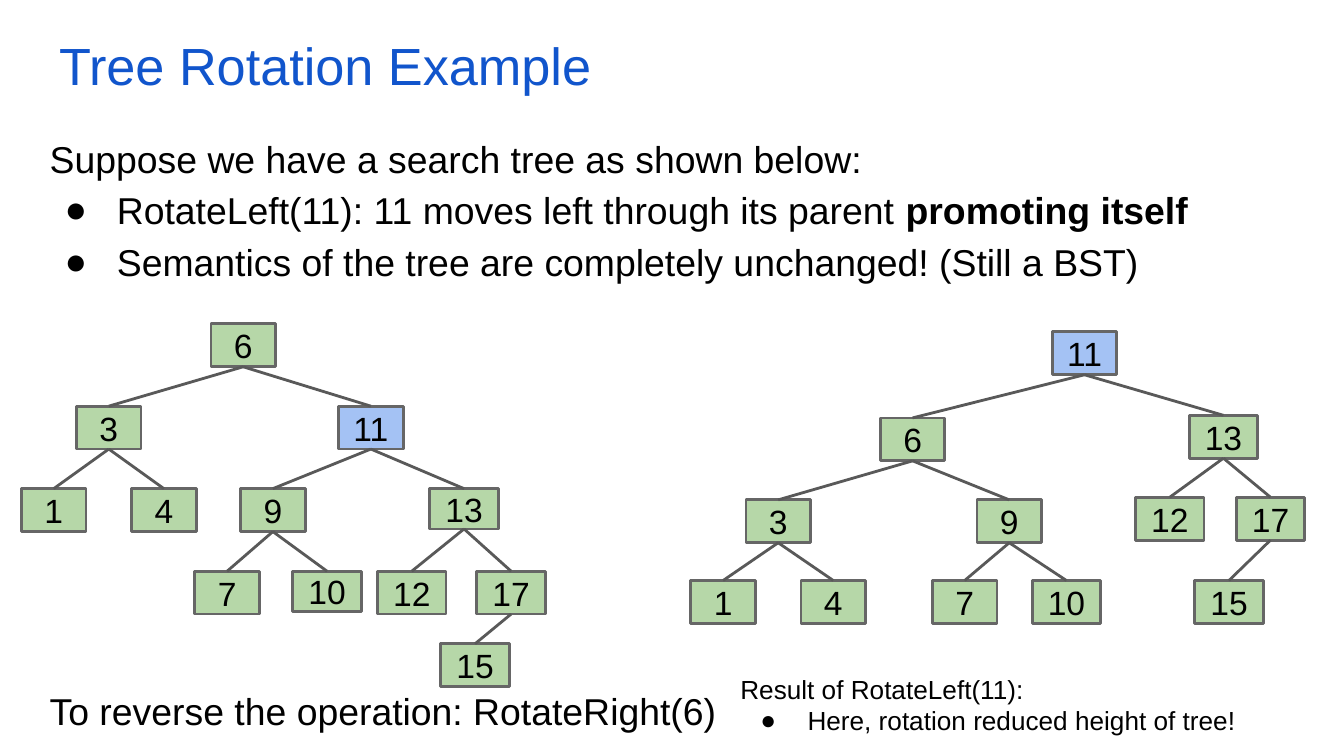
from lxml import etree
from pptx import Presentation
from pptx.dml.color import RGBColor
from pptx.enum import shapes, text
from pptx.oxml import ns
from pptx.util import Pt

BLACK = RGBColor(0x00, 0x00, 0x00)
BLUE = RGBColor(0x11, 0x55, 0xCC)
GREEN = RGBColor(0xB6, 0xD7, 0xA8)
SKY = RGBColor(0xA4, 0xC2, 0xF4)
EDGE = RGBColor(0x66, 0x66, 0x66)
LINK = RGBColor(0x59, 0x59, 0x59)

TITLE = [(False, [("Tree Rotation Example", False)])]
INTRO = [
    (False, [("Suppose we have a search tree as shown below:", False)]),
    (True, [("RotateLeft(11): 11 moves left through its parent ", False),
            ("promoting itself", True)]),
    (True, [("Semantics of the tree are completely unchanged! (Still a BST)", False)]),
]
BACK = [(False, [("To reverse the operation: RotateRight(6)", False)])]
RESULT = [
    (False, [("Result of RotateLeft(11):", False)]),
    (True, [("Here, rotation reduced height of tree!", False)]),
]

# label, parent, centre, top, height
TALL, LOW = 23, 21.6
BEFORE = [
    (6, None, 130.3, 173.5, TALL),
    (3, 6, 58.3, 217.6, TALL),
    (11, 6, 198.7, 217.6, TALL),
    (1, 3, 28.8, 261.8, TALL),
    (4, 3, 87.8, 261.8, TALL),
    (9, 11, 146.2, 261.8, TALL),
    (13, 11, 248.6, 261.8, LOW),
    (7, 9, 121.7, 306, TALL),
    (10, 9, 175.2, 306, LOW),
    (12, 13, 220.6, 306, TALL),
    (17, 13, 273.8, 306, TALL),
    (15, 17, 254.5, 344.9, TALL),
]
AFTER = [
    (11, None, 581, 177.8, TALL),
    (6, 11, 488.9, 223.9, TALL),
    (13, 11, 655.4, 222.5, TALL),
    (3, 6, 416.9, 267.8, TALL),
    (9, 6, 540.7, 267.8, TALL),
    (12, 13, 626.7, 266.4, TALL),
    (17, 13, 680.6, 266.4, TALL),
    (1, 3, 387.4, 311, TALL),
    (4, 3, 446.4, 311, TALL),
    (7, 9, 516.8, 311, TALL),
    (10, 9, 571.3, 311, TALL),
    (15, 17, 658.4, 311, TALL),
]


def add_mark(para, hang):
    props = para._p.get_or_add_pPr()
    props.set("marL", str(Pt(36) if hang else 0))
    props.set("indent", str(-Pt(hang)))
    if not hang:
        etree.SubElement(props, ns.qn("a:buNone"))
        return
    tint = etree.SubElement(props, ns.qn("a:buClr"))
    etree.SubElement(tint, ns.qn("a:srgbClr")).set("val", str(BLACK))
    etree.SubElement(props, ns.qn("a:buFont")).set("typeface", "Arial")
    etree.SubElement(props, ns.qn("a:buChar")).set("char", "●")


def write(shape, paras, size, color=BLACK, align=text.PP_ALIGN.LEFT,
          anchor=text.MSO_ANCHOR.TOP, wrap=True, lead=1.0, after=0, hang=28):
    frame = shape.text_frame
    frame.word_wrap = wrap
    frame.auto_size = text.MSO_AUTO_SIZE.NONE
    frame.vertical_anchor = anchor
    frame.margin_left = frame.margin_right = Pt(7.2)
    frame.margin_top = frame.margin_bottom = Pt(7.2)
    for i, (mark, runs) in enumerate(paras):
        para = frame.add_paragraph() if i else frame.paragraphs[0]
        add_mark(para, hang if mark else 0)
        para.alignment = align
        para.line_spacing = lead
        para.space_before = Pt(0)
        para.space_after = Pt(after)
        for words, bold in runs:
            run = para.add_run()
            run.text = words
            font = run.font
            font.name, font.size, font.bold = "Arial", Pt(size), bold
            font.color.rgb = color


def place(shape, left, top, width, height):
    shape.left, shape.top = Pt(left), Pt(top)
    shape.width, shape.height = Pt(width), Pt(height)
    return shape


def draw_node(host, label, mid, top, high):
    wide = 36.7 if label > 9 and label != 11 else 34.6
    box = host.add_shape(shapes.MSO_SHAPE.RECTANGLE, Pt(mid - wide / 2),
                         Pt(top), Pt(wide), Pt(high))
    box.shadow.inherit = False
    box.fill.solid()
    box.fill.fore_color.rgb = SKY if label == 11 else GREEN
    box.line.color.rgb = EDGE
    box.line.width = Pt(1.5)
    write(box, [(False, [(str(label), False)])], 18, wrap=False,
          align=text.PP_ALIGN.CENTER, anchor=text.MSO_ANCHOR.MIDDLE)
    return box


def draw_link(host, upper, lower):
    link = host.add_connector(
        shapes.MSO_CONNECTOR.STRAIGHT,
        upper.left + upper.width // 2, upper.top + upper.height,
        lower.left + lower.width // 2, lower.top)
    link.begin_connect(upper, 2)
    link.end_connect(lower, 0)
    link.line.color.rgb = LINK
    link.line.width = Pt(1.5)
    etree.SubElement(link._element.spPr, ns.qn("a:effectLst"))


def draw_tree(host, nodes):
    boxes = {label: draw_node(host, label, mid, top, high)
             for label, _, mid, top, high in nodes}
    for label, parent, *_ in nodes:
        if parent is not None:
            draw_link(host, boxes[parent], boxes[label])


def main():
    deck = Presentation()
    deck.slide_width, deck.slide_height = Pt(720), Pt(405)
    slide = deck.slides.add_slide(deck.slide_layouts[3])
    title, intro, back = slide.placeholders
    write(place(title, 24.5, 10.8, 671, 45.4), TITLE, 28, color=BLUE)
    write(place(intro, 19.4, 61.9, 700.6, 103), INTRO, 20, lead=1.15)
    write(place(back, 19.4, 357.8, 677.5, 30.2), BACK, 20, lead=1.15, after=16)

    draw_tree(slide.shapes, BEFORE)
    draw_tree(slide.shapes.add_group_shape().shapes, AFTER)

    note = slide.shapes.add_textbox(Pt(389.5), Pt(353.5), Pt(317.5), Pt(51.8))
    write(note, RESULT, 14, hang=25.2)
    deck.save("out.pptx")


if __name__ == "__main__":
    main()
